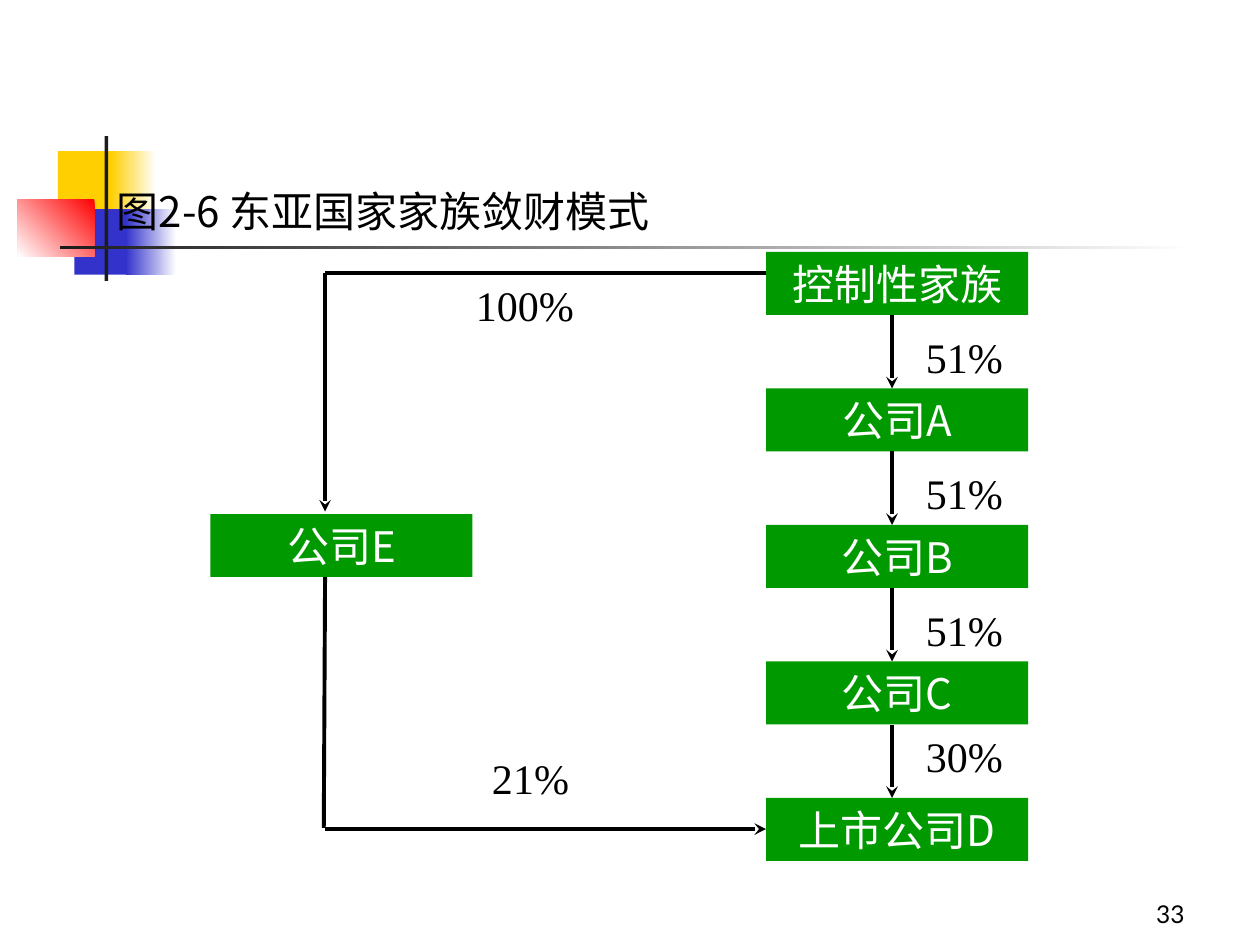
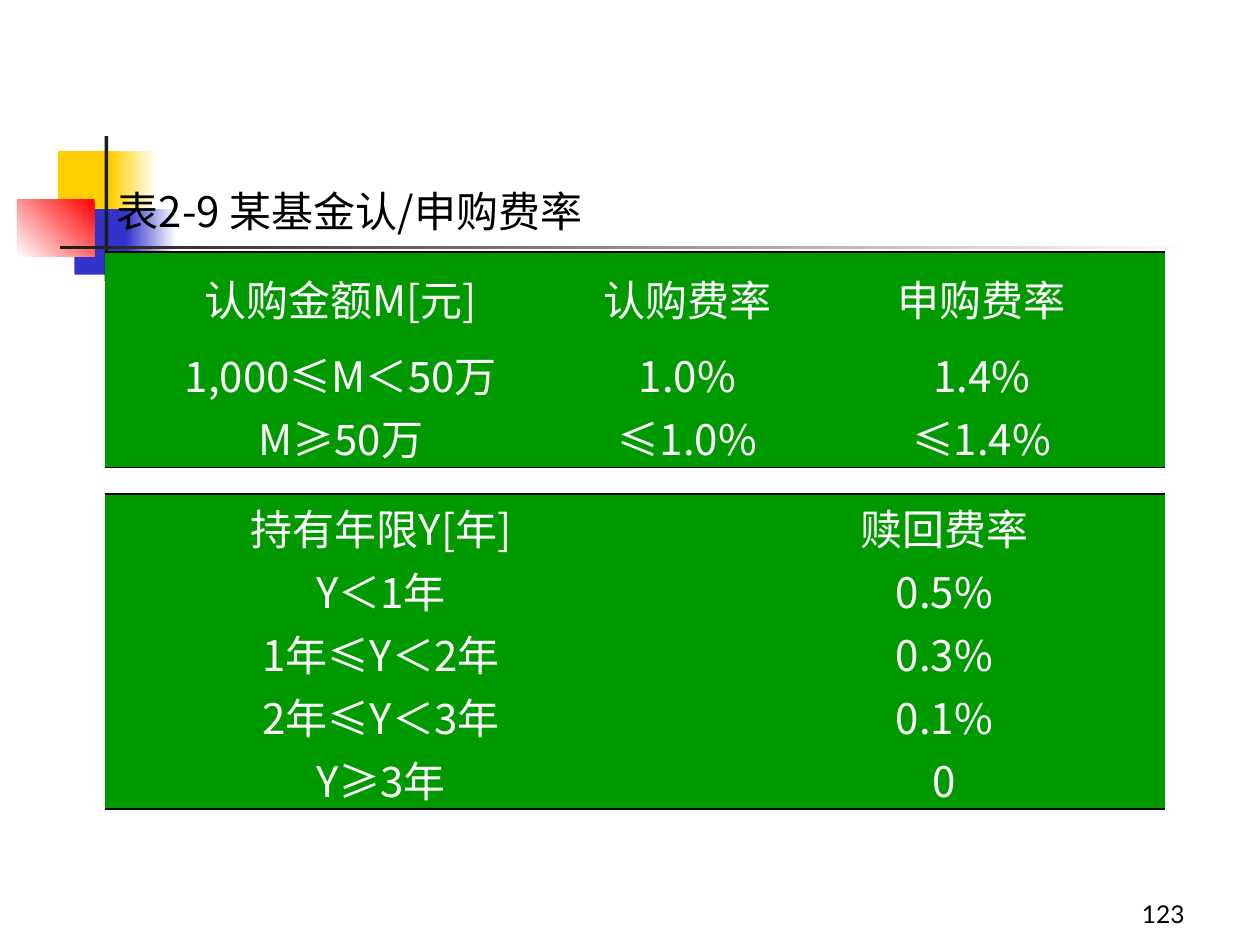
from lxml import etree
from pptx import Presentation
from pptx.dml.color import RGBColor
from pptx.enum.shapes import MSO_CONNECTOR, MSO_SHAPE
from pptx.enum.text import MSO_ANCHOR, PP_ALIGN
from pptx.oxml.ns import qn
from pptx.util import Inches, Pt

RECT, STRAIGHT = MSO_SHAPE.RECTANGLE, MSO_CONNECTOR.STRAIGHT
LEFT, MID, RIGHT = PP_ALIGN.LEFT, PP_ALIGN.CENTER, PP_ALIGN.RIGHT
CENTER, BOTTOM = MSO_ANCHOR.MIDDLE, MSO_ANCHOR.BOTTOM

BLACK, WHITE, GREEN = "000000", "FFFFFF", "009900"
GOLD, BLUE, RED, DARK = "FFCF01", "3333CC", "FF0000", "1C1C1C"
HAN, LATO, TIMES = "Noto Sans CJK SC", "Lato", "Times New Roman"

# box, then one colour or (start, end, clockwise angle)
DECOR = [
    ((0.46, 1.2, 0.48, 0.52), GOLD),
    ((0.88, 1.2, 0.36, 0.52), (WHITE, GOLD, 180)),
    ((0.59, 1.66, 0.46, 0.52), BLUE),
    ((1, 1.66, 0.4, 0.52), (WHITE, BLUE, 180)),
    ((0.14, 1.58, 0.61, 0.46), (RED, WHITE, 135)),
    ((0.83, 1.08, 0.03, 1.15), DARK),
    ((0.48, 1.95, 9, 0.03), (WHITE, DARK, 180)),
]

# Ownership chain: firm and the share it holds in the next one
CHAIN = [("控制性家族", "51%"), ("公司A", "51%"), ("公司B", "51%"),
         ("公司C", "30%"), ("上市公司D", None)]
CHAIN_X, CHAIN_Y, STEP = 6.08, 2, 13 / 12
BOX_W, BOX_H = 2.08, 0.5
ARROW_X, SHARE_X = 7.08, 7.25
SIDE, SIDE_X, SIDE_Y, LOOP_X = "公司E", 1.67, 4.08, 2.58
# start, end, has an arrowhead
LOOP = [((CHAIN_X, 2.17), (LOOP_X, 2.17), False),
        ((LOOP_X, 2.17), (LOOP_X, 4.06), True),
        ((LOOP_X, 4.58), (2.57, 6.57), False),
        ((LOOP_X, 6.58), (CHAIN_X, 6.58), True)]
LOOP_SHARES = [("100%", (3.58, 2.17, 1.17, 0.5)),
               ("21%", (3.67, 5.92, 1.08, 0.5))]

BUY = [("认购金额M[元]", "认购费率", "申购费率"),
       ("1,000≤M＜50万", "1.0%", "1.4%"),
       ("M≥50万", "≤1.0%", "≤1.4%")]
REDEEM = [("持有年限Y[年]", "赎回费率"),
          ("Y＜1年", "0.5%"),
          ("1年≤Y＜2年", "0.3%"),
          ("2年≤Y＜3年", "0.1%"),
          ("Y≥3年", "0")]


def rgb(code):
    return RGBColor.from_string(code)


def style(frame, text, size, font, color, align):
    frame.text = text
    para = frame.paragraphs[0]
    para.alignment = align
    run = para.runs[0]
    run.font.size, run.font.name = Pt(size), font
    run.font.color.rgb = rgb(color)
    east = etree.SubElement(run._r.get_or_add_rPr(), qn("a:ea"))
    east.set("typeface", HAN)


def add_rect(slide, box, fill):
    shape = slide.shapes.add_shape(RECT, *map(Inches, box))
    shape.shadow.inherit = False
    shape.line.fill.background()
    if isinstance(fill, str):
        shape.fill.solid()
        shape.fill.fore_color.rgb = rgb(fill)
    else:
        *ends, angle = fill
        shape.fill.gradient()
        shape.fill.gradient_angle = 360 - angle
        for stop, color in zip(shape.fill.gradient_stops, ends):
            stop.color.rgb = rgb(color)
    return shape


def fit(frame, anchor=CENTER):
    frame.word_wrap = True
    frame.vertical_anchor = anchor
    frame.margin_top = frame.margin_bottom = 0
    return frame


def add_text(slide, box, text, font, align=LEFT, size=24):
    shape = slide.shapes.add_textbox(*map(Inches, box))
    style(fit(shape.text_frame), text, size, font, BLACK, align)
    return shape.text_frame


def add_firm(slide, x, y, name):
    shape = add_rect(slide, (x, y, BOX_W, BOX_H), GREEN)
    style(fit(shape.text_frame), name, 24, HAN, WHITE, MID)


def add_line(slide, start, end, arrow=True):
    line = slide.shapes.add_connector(STRAIGHT, *map(Inches, start + end))
    line.line.color.rgb = rgb(BLACK)
    line.line.width = Pt(2.25)
    if arrow:
        tail = etree.SubElement(line.line._get_or_add_ln(), qn("a:tailEnd"))
        tail.set("type", "stealth")
    etree.SubElement(line._element.spPr, qn("a:effectLst"))


def add_edge(cell, side, shown):
    edge = etree.SubElement(cell._tc.get_or_add_tcPr(), qn("a:ln" + side))
    if shown:
        edge.set("w", str(Pt(1.08)))
        fill = etree.SubElement(edge, qn("a:solidFill"))
        etree.SubElement(fill, qn("a:srgbClr")).set("val", BLACK)
    else:
        etree.SubElement(edge, qn("a:noFill"))


def add_grid(slide, top, rows, widths, heights, shift=0):
    """Green table ruled above and below; shift indents its last column."""
    box = (0.83, top, sum(widths), sum(heights))
    grid = slide.shapes.add_table(len(rows), len(widths), *map(Inches, box)).table
    grid.first_row = grid.horz_banding = False
    for col, width in zip(grid.columns, widths):
        col.width = Inches(width)
    for r, (row, height) in enumerate(zip(rows, heights)):
        grid.rows[r].height = Inches(height)
        for c, text in enumerate(row):
            cell = grid.cell(r, c)
            for side in "LRTB":
                add_edge(cell, side, (side == "T" and r == 0)
                         or (side == "B" and r == len(rows) - 1))
            cell.fill.solid()
            cell.fill.fore_color.rgb = rgb(GREEN)
            cell.vertical_anchor = CENTER
            cell.margin_top, cell.margin_bottom = Inches(0.02), 0
            if c == len(row) - 1:
                cell.margin_left = Inches(0.1 + shift)
            style(cell.text_frame, text, 24, HAN, WHITE, MID)


def add_page(deck, title, number):
    slide = deck.slides.add_slide(deck.slide_layouts[6])
    for box, fill in DECOR:
        add_rect(slide, box, fill)
    add_text(slide, (0.83, 1.42, 7.58, 0.5), title, HAN)
    foot = add_text(slide, (7.42, 6.92, 2.08, 0.5), number, LATO, RIGHT, 14)
    fit(foot, BOTTOM).margin_bottom = Inches(0.05)
    return slide


def draw_chain(slide):
    for i, (name, share) in enumerate(CHAIN):
        y = CHAIN_Y + i * STEP
        add_firm(slide, CHAIN_X, y, name)
        if share:
            add_line(slide, (ARROW_X, y + BOX_H), (ARROW_X, y + STEP))
            gap = 0.5 if share == "30%" else 0.58
            add_text(slide, (SHARE_X, y + gap, 0.83, 0.5), share, TIMES)
    add_firm(slide, SIDE_X, SIDE_Y, SIDE)
    for start, end, arrow in LOOP:
        add_line(slide, start, end, arrow)
    for share, box in LOOP_SHARES:
        add_text(slide, box, share, TIMES, MID)


def main():
    deck = Presentation()
    deck.slide_width, deck.slide_height = Inches(10), Inches(7.5)
    draw_chain(add_page(deck, "图2-6 东亚国家家族敛财模式", "33"))
    fees = add_page(deck, "表2-9 某基金认/申购费率", "123")
    add_grid(fees, 2, BUY, (3.75, 1.75, 2.92), (0.71, 0.5, 0.5))
    add_grid(fees, 3.92, REDEEM, (4.39, 4.03), [0.5] * 5, shift=0.52)
    deck.save("out.pptx")


if __name__ == "__main__":
    main()
